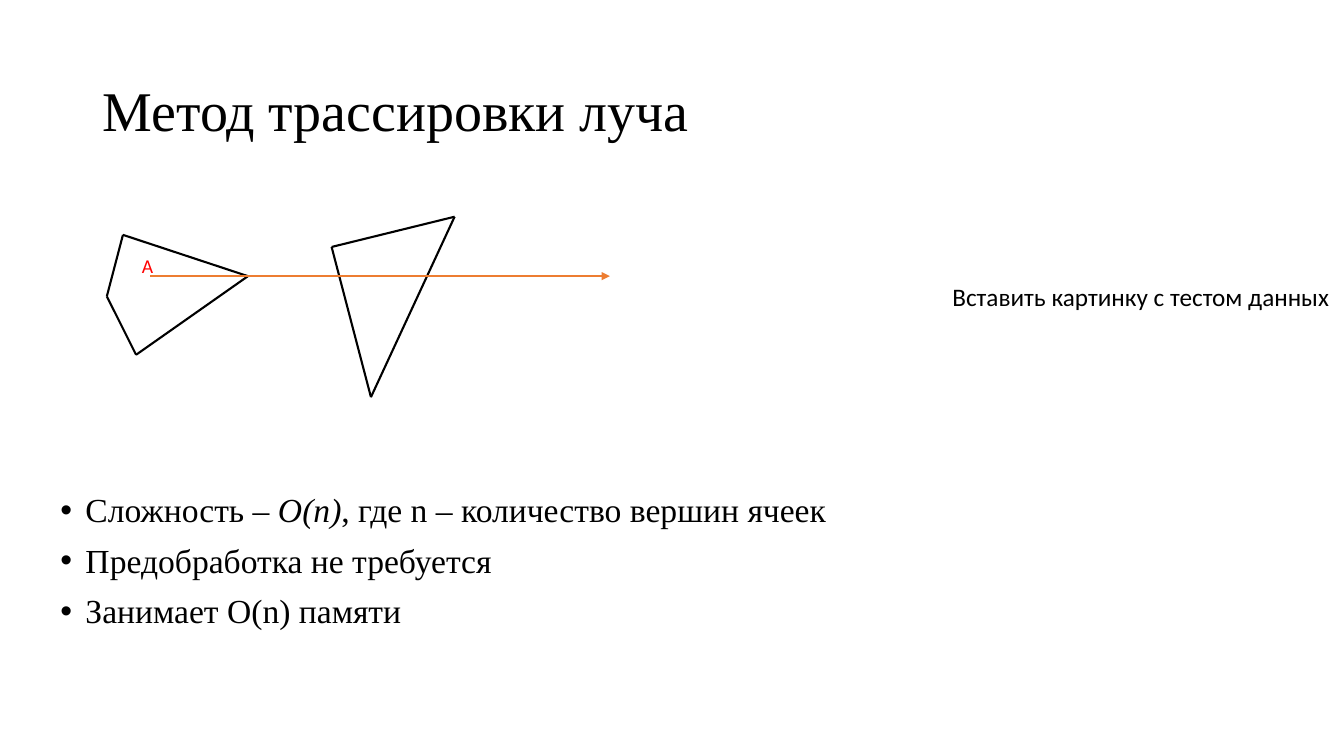
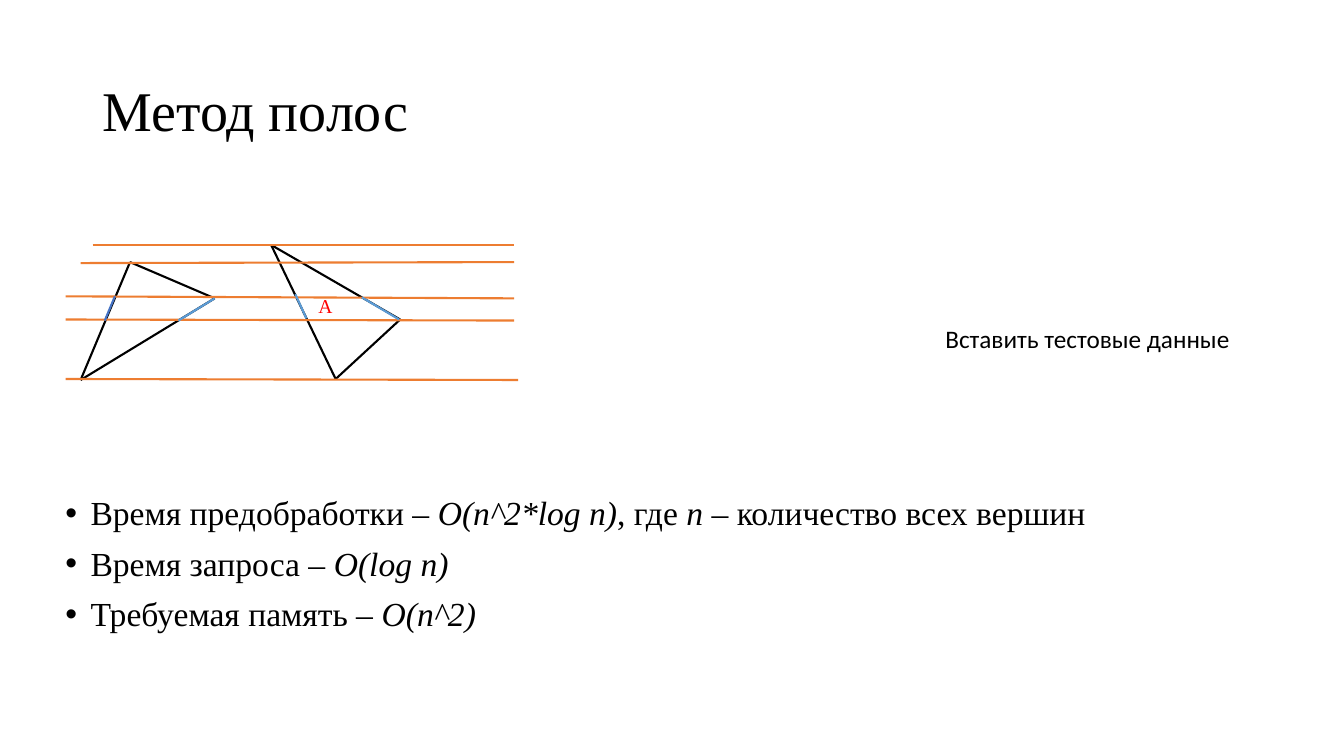
import itertools

import lxml.etree
import pptx
import pptx.dml.color
import pptx.enum.shapes
import pptx.enum.text
import pptx.oxml.ns
import pptx.util

CELL = 0.1  # inches per grid column and per grid row
SERIF, SANS = "Times New Roman", "Calibri"
BLACK, RED, ORANGE = "000000", "FF0000", "ED7D31"
DEEP_BLUE, LIGHT_BLUE = "4472C4", "5B9BD5"


def grid(cells):
    return pptx.util.Inches(cells * CELL)


def color(hex_code):
    return pptx.dml.color.RGBColor.from_string(hex_code)


def add_xml(parent, tag, **attributes):
    return lxml.etree.SubElement(parent, pptx.oxml.ns.qn(tag), **attributes)


class Deck:
    """Holds the shared style and the slide being built."""

    def __init__(self):
        self.file = pptx.Presentation()
        self.file.slide_width = pptx.util.Inches(13.333)
        self.file.slide_height = pptx.util.Inches(7.5)
        self.slide = None

    def new_slide(self, heading):
        self.slide = self.file.slides.add_slide(self.file.slide_layouts[6])
        frame = self.frame(9.2, 4, 115, 14.5)
        frame.vertical_anchor = pptx.enum.text.MSO_ANCHOR.MIDDLE
        title = frame.paragraphs[0]
        title.text = heading
        title.line_spacing = 0.9
        self.style(title, 40)

    def frame(self, left, top, width, height, wrap=True):
        box = self.slide.shapes.add_textbox(*map(grid, (left, top, width, height)))
        box.text_frame.word_wrap = wrap
        return box.text_frame

    def style(self, paragraph, size, face=SERIF, ink=BLACK):
        paragraph.font.size = pptx.util.Pt(size)
        paragraph.font.name = face
        paragraph.font.color.rgb = color(ink)

    def label(self, text, left, top, width, height, size=18, face=SANS, ink=BLACK):
        paragraph = self.frame(left, top, width, height, wrap=False).paragraphs[0]
        paragraph.text = text
        self.style(paragraph, size, face, ink)

    def bullets(self, left, top, height, items):
        """Each item is text in which underscores enclose italics."""
        frame = self.frame(left, top, 115, height)
        for index, item in enumerate(items):
            paragraph = frame.add_paragraph() if index else frame.paragraphs[0]
            paragraph.line_spacing = 0.9
            paragraph.space_before = pptx.util.Pt(10)
            properties = paragraph._p.get_or_add_pPr()
            indent = grid(2.5)
            properties.set("marL", str(indent))
            properties.set("indent", str(-indent))
            add_xml(properties, "a:buFont", typeface="Arial")
            add_xml(properties, "a:buChar", char="•")
            self.style(paragraph, 24)
            for part, text in enumerate(item.split("_")):
                if text:
                    run = paragraph.add_run()
                    run.text = text
                    if part % 2:
                        run.font.italic = True

    def line(self, start, end, ink=BLACK, arrow=False):
        link = self.slide.shapes.add_connector(
            pptx.enum.shapes.MSO_CONNECTOR.STRAIGHT, *map(grid, (*start, *end)))
        link.line.color.rgb = color(ink)
        link.line.width = pptx.util.Pt(1.5)
        if arrow:
            add_xml(link.line._get_or_add_ln(), "a:tailEnd", type="triangle")
        add_xml(link._element.spPr, "a:effectLst")

    def polygon(self, *corners):
        for start, end in itertools.pairwise((*corners, corners[0])):
            self.line(start, end)


def ray_tracing(deck):
    deck.new_slide("Метод трассировки луча")
    deck.bullets(5, 48.5, 20.4, [
        "Сложность – _O(n)_, где n – количество вершин ячеек",
        "Предобработка не требуется",
        "Занимает O(n) памяти",
    ])
    deck.label("Вставить картинку с тестом данных", 93.5, 27.4, 39.8, 4)

    # Two cells and the ray cast from the query point
    deck.polygon((10.6, 29.4), (12.2, 23.3), (24.6, 27.4), (13.5, 35.2))
    deck.polygon((32.9, 24.5), (45.1, 21.5), (36.8, 39.4))
    deck.line((14.9, 27.4), (60.5, 27.4), ORANGE, arrow=True)
    deck.label("А", 13.1, 24.7, 3.2, 3.4, 14, SANS, RED)


def slab_method(deck):
    deck.new_slide("Метод полос")
    deck.bullets(5.5, 48.8, 22.7, [
        "Время предобработки – _O(n^2*log n)_, где _n_ – количество всех вершин",
        "Время запроса – _O(log n)_",
        "Требуемая память – _O(n^2)_",
    ])

    # Two cells
    deck.polygon((26.9, 24.3), (39.7, 31.7), (33.3, 37.6))
    deck.polygon((12.9, 26), (8, 37.7), (21.3, 29.6))

    # Slab borders through the vertices
    for start, end in [
        ((6.5, 37.6), (51.4, 37.7)),
        ((6.5, 31.7), (51, 31.8)),
        ((6.5, 29.4), (51, 29.6)),
        ((8, 26.1), (51, 26)),
        ((9.2, 24.3), (51, 24.3)),
    ]:
        deck.line(start, end, ORANGE)

    # Edge pieces inside the slab of the query point
    deck.line((11.4, 29.4), (10.4, 31.8), DEEP_BLUE)
    for start, end in [
        ((21.3, 29.6), (17.7, 31.8)),
        ((29.3, 29.2), (30.4, 31.6)),
        ((35.9, 29.5), (39.6, 31.7)),
    ]:
        deck.line(start, end, LIGHT_BLUE)

    deck.label("Вставить тестовые данные", 92.8, 31.6, 30.5, 7.1)
    deck.label("А", 30.6, 28.7, 3.4, 3.4, 14, SERIF, RED)


def main():
    deck = Deck()
    ray_tracing(deck)
    slab_method(deck)
    deck.file.save("out.pptx")


if __name__ == "__main__":
    main()
